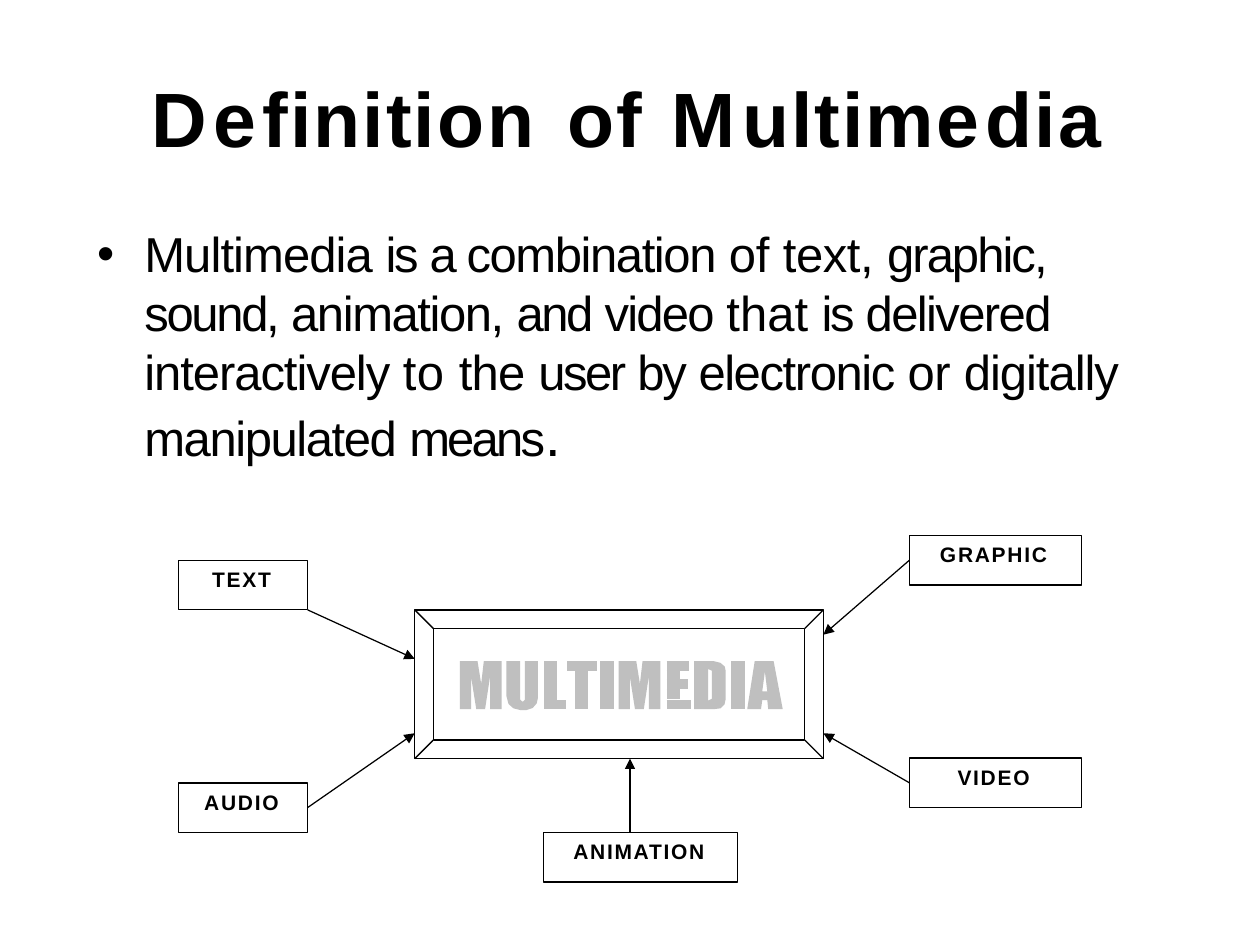
from dataclasses import dataclass

from lxml.etree import SubElement
from pptx import Presentation
from pptx.dml.color import RGBColor
from pptx.enum.shapes import MSO_CONNECTOR as Connector, MSO_SHAPE as Shape
from pptx.enum.text import MSO_ANCHOR as Anchor, PP_ALIGN as Align
from pptx.oxml.ns import qn
from pptx.util import Pt


@dataclass(frozen=True)
class Theme:
    font: str = "Arial"
    ink: RGBColor = RGBColor(0, 0, 0)
    paper: RGBColor = RGBColor(255, 255, 255)
    gray: RGBColor = RGBColor(0xBF, 0xBF, 0xBF)
    title: float = 44
    body: float = 28
    period: float = 32
    label: float = 12


theme = Theme()


def add_spans(para, spans, size, bold=False):
    """Add (text, letter spacing in points) pairs as runs."""
    for text, spacing in spans:
        span = para.add_run()
        span.text = text
        span.font.name = theme.font
        span.font.size = Pt(size)
        span.font.bold = bold
        span.font.color.rgb = theme.ink
        span._r.get_or_add_rPr().set("spc", str(round(spacing * 100)))


def set_frame(shape, top):
    """Wrap the text from the top, with only a top inset."""
    frame = shape.text_frame
    frame.word_wrap = True
    frame.vertical_anchor = Anchor.TOP
    frame.margin_left = frame.margin_right = frame.margin_bottom = 0
    frame.margin_top = Pt(top)
    return frame.paragraphs[0]


deck = Presentation()
deck.slide_width, deck.slide_height = Pt(720), Pt(540)
page = deck.slides.add_slide(deck.slide_layouts[6])
shapes = page.shapes
page.background.fill.solid()
page.background.fill.fore_color.rgb = theme.paper

# Title, its words set at tab stops
box = shapes.add_textbox(Pt(85.5), Pt(39.5), Pt(545), Pt(55))
para = set_frame(box, 1)
properties = para._p.get_or_add_pPr()
properties.set("marL", str(Pt(1)))
tabs = SubElement(properties, qn("a:tabLst"))
for stop in (237.6, 297.4):
    SubElement(tabs, qn("a:tab"), pos=str(Pt(stop)), algn="l")
add_spans(para, [
    ("D", 3.8), ("e", 3.6), ("finitio", 1.2), ("n\t", -2.5), ("o", 1.2), ("f\t", -2.5),
    ("M", 3.6), ("ultim", 1.2), ("e", 3.6), ("di", 1.2), ("a", 0),
], theme.title, bold=True)

# Bulleted definition
box = shapes.add_textbox(Pt(54.5), Pt(127), Pt(611.5), Pt(145))
para = set_frame(box, 1)
properties = para._p.get_or_add_pPr()
properties.set("marL", str(Pt(28)))
properties.set("indent", str(-Pt(27)))
SubElement(properties, qn("a:buFont"), typeface=theme.font)
SubElement(properties, qn("a:buChar"), char="•")
add_spans(para, [
    ("Multimedia ", -0.5), ("is ", -1.4), ("a ", -2.2), ("combination ", -0.8),
    ("of ", -0.1), ("text, ", -0.2), ("graphic, ", -1.1), ("sound, ", -1.3),
    ("animation, ", -0.8), ("and ", -1.4), ("video ", -1), ("that ", 0), ("is ", -1.4),
    ("delivered ", -0.9), ("interactively ", -0.6), ("to ", 0.3), ("the ", -0.4),
    ("user ", -1.4), ("by ", -1.2), ("electronic ", -0.8), ("or ", -0.2),
    ("digitally ", -0.6), ("manipulated ", -0.8), ("means", -1.6),
], theme.body)
add_spans(para, [(".", -1.6)], theme.period)

# Beveled frame in the middle
bevel = shapes.add_shape(Shape.BEVEL, Pt(237), Pt(348.5), Pt(233.5), Pt(85))
bevel.adjustments[0] = 0.125
bevel.shadow.inherit = False
bevel.fill.background()
bevel.line.color.rgb = theme.ink
bevel.line.width = Pt(0.75)

# Block letters: contours of each glyph, without the bars of L, T and E
glyphs = {
    "M": [[(0, 0), (10.1, 0), (12.2, 13), (13.7, 0), (23.8, 0), (23.8, 27.5), (17.3, 27.5),
           (17.3, 8.6), (14.4, 27.5), (9.4, 27.5), (6.5, 9.4), (6.5, 27.5), (0, 27.5)]],
    "U": [[(0, 0), (7.9, 0), (7.9, 22), (9.3, 23.3), (10.6, 22), (10.6, 0), (18, 0), (18, 21),
           (17.3, 24.2), (15, 26.8), (11.5, 28), (8, 28), (4, 27), (1.2, 24.5), (0, 20)]],
    "L": [[(0, 0), (7.6, 0), (7.6, 22), (0, 22)]],
    "T": [[(4.4, 5), (12.2, 5), (12.2, 27.5), (4.4, 27.5)]],
    "I": [[(0, 0), (7.9, 0), (7.9, 27.5), (0, 27.5)]],
    "D": [[(0, 0), (11, 0), (15, 1), (17.5, 3.2), (18, 6), (18, 21.5), (17.3, 24.8),
           (15, 27), (11, 27.5), (0, 27.5)],
          [(7.9, 4.5), (7.9, 22.6), (10.1, 21.5), (10.1, 5.5)]],
    "A": [[(4.3, 0), (15.1, 0), (20.3, 27.5), (12, 27.5), (11.5, 22.3), (8.6, 22.3),
           (7.9, 27.5), (0, 27.5)],
          [(10.1, 6), (8.6, 17.3), (11.5, 17.3)]],
}
# Bars of each glyph: middle, length, thickness
bars = {
    "L": [(24.7, 12.4, 5.5)],
    "T": [(2.7, 17.3, 5.5)],
    "E": [(24.7, 13.7, 5.5), (18.8, 7.9, 6.1), (13, 12.4, 5.3), (7.9, 7.9, 5.3), (2.7, 13, 5.5)],
}
letter_top = 377.8
letter_lefts = (262.8, 289.4, 311, 324, 342.7, 353.5, 380.9, 396.7, 417.6, 427)
for letter, left in zip("MULTIMEDIA", letter_lefts):
    builder = None
    for contour in glyphs.get(letter, []):
        start, *rest = [(Pt(left + x), Pt(letter_top + y)) for x, y in contour]
        if builder is None:
            builder = shapes.build_freeform(*start)
        else:
            builder.move_to(*start)
        builder.add_line_segments(rest, close=True)
    if builder:
        outline = builder.convert_to_shape()
        outline.shadow.inherit = False
        outline.fill.solid()
        outline.fill.fore_color.rgb = theme.gray
        outline.line.fill.background()
    for middle, length, thickness in bars.get(letter, []):
        y = Pt(letter_top + middle)
        bar = shapes.add_connector(Connector.STRAIGHT, Pt(left), y, Pt(left + length), y)
        bar.line.color.rgb = theme.gray
        bar.line.width = Pt(thickness)
        SubElement(bar._element.spPr, qn("a:effectLst"))

# Media boxes: name, left, top, width, arrow start, arrow end
media = [
    ("TEXT", 102.2, 320.2, 73.7, (175.8, 348.5), (237, 376.5)),
    ("AUDIO", 102.2, 447.4, 73.7, (175.8, 461.5), (237, 419)),
    ("GRAPHIC", 519.6, 306, 98.4, (519.6, 320.2), (470.5, 362.7)),
    ("VIDEO", 519.6, 433.2, 98.4, (519.6, 447.3), (470.5, 419)),
    ("ANIMATION", 310.7, 475.7, 110.8, (360, 475.7), (360, 433.5)),
]
for name, left, top, width, start, end in media:
    box = shapes.add_shape(Shape.RECTANGLE, Pt(left), Pt(top), Pt(width), Pt(28.3))
    box.shadow.inherit = False
    box.fill.solid()
    box.fill.fore_color.rgb = theme.paper
    box.line.color.rgb = theme.ink
    box.line.width = Pt(0.75)
    para = set_frame(box, 3.6)
    box.text_frame.margin_right = Pt(2)
    para.alignment = Align.CENTER
    add_spans(para, [(name, 1)], theme.label, bold=True)

    arrow = shapes.add_connector(Connector.STRAIGHT, *map(Pt, start + end))
    arrow.line.color.rgb = theme.ink
    arrow.line.width = Pt(0.7)
    SubElement(arrow.line._get_or_add_ln(), qn("a:tailEnd"), type="triangle")
    SubElement(arrow._element.spPr, qn("a:effectLst"))

deck.save("out.pptx")
